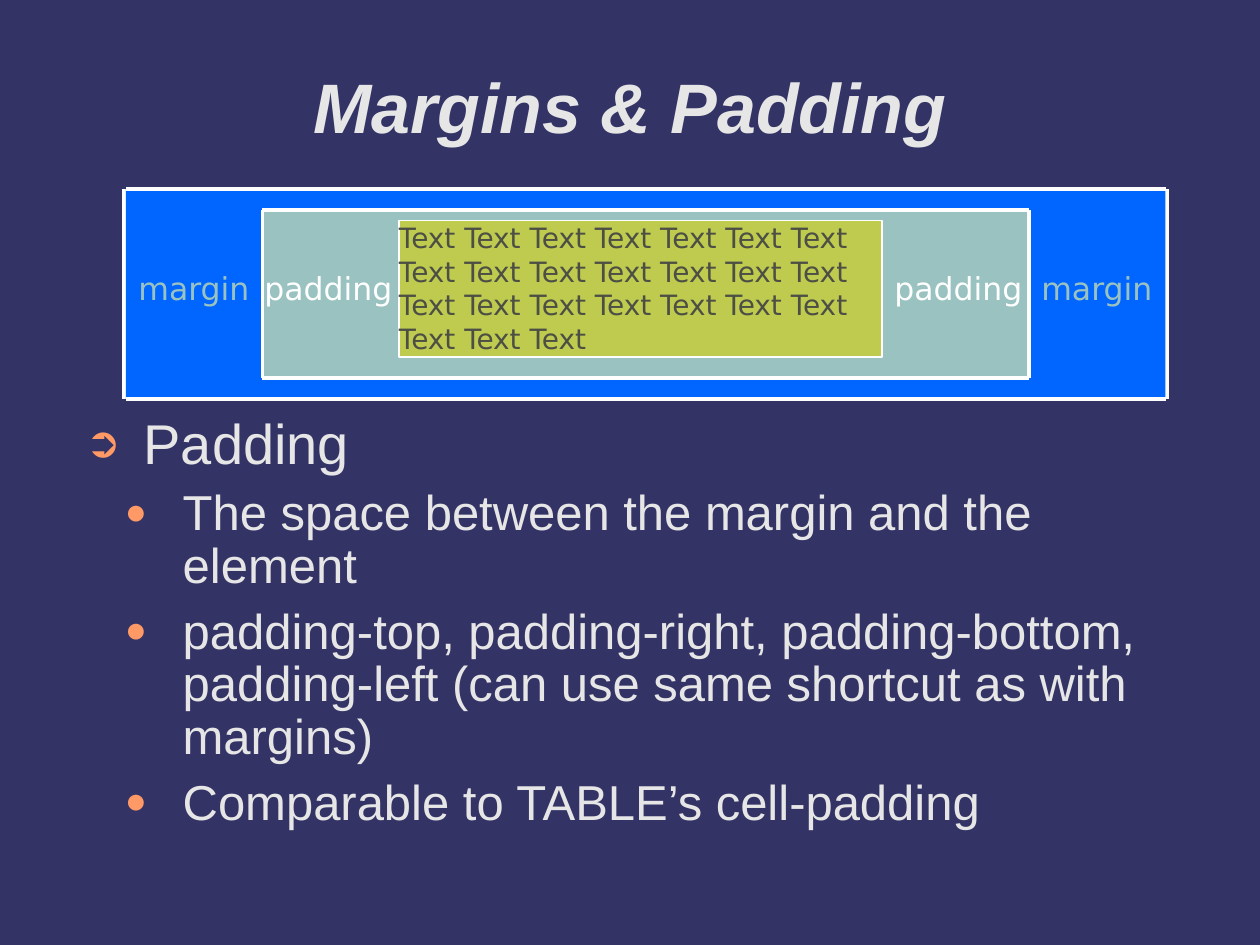
from lxml import etree
from pptx import Presentation
from pptx.dml.color import RGBColor
from pptx.enum.shapes import MSO_CONNECTOR, MSO_SHAPE
from pptx.enum.text import MSO_ANCHOR, MSO_AUTO_SIZE, PP_ALIGN
from pptx.oxml.ns import qn
from pptx.util import Inches, Pt

RECTANGLE = MSO_SHAPE.RECTANGLE
STRAIGHT = MSO_CONNECTOR.STRAIGHT
TOP, MIDDLE = MSO_ANCHOR.TOP, MSO_ANCHOR.MIDDLE
LEFT, CENTER = PP_ALIGN.LEFT, PP_ALIGN.CENTER
NO_FIT, GROW = MSO_AUTO_SIZE.NONE, MSO_AUTO_SIZE.SHAPE_TO_FIT_TEXT

COLORS = {
    "background": "333366", "text": "E6E6E6", "bullet": "FF9966",
    "margin": "0066FF", "padding": "9AC2C0", "element": "BFCB4F",
    "element text": "4D4F45", "white": "FFFFFF",
}
UNIT = Inches(1) // 12
OUTER_LEFT, INNER_LEFT, INNER_RIGHT, OUTER_RIGHT = 12, 25, 98, 111
OUTER_TOP, INNER_TOP, INNER_BOTTOM, OUTER_BOTTOM = 18, 20, 36, 38

deck = Presentation()
deck.slide_width, deck.slide_height = Inches(10), Inches(7.5)
page = deck.slides.add_slide(deck.slide_layouts[1])
page.background.fill.solid()
page.background.fill.fore_color.rgb = RGBColor.from_string(COLORS["background"])


def write(para, text, color, **font_values):
    span = para.add_run()
    span.text = text
    span.font.color.rgb = RGBColor.from_string(COLORS[color])
    for name, value in font_values.items():
        setattr(span.font, name, value)


title, body = page.shapes.title, page.placeholders[1]
for holder, top, height, anchor in ((title, 0.45, 0.77, MIDDLE), (body, 3.25, 3.45, TOP)):
    holder.left, holder.top = Inches(0.5), Inches(top)
    holder.width, holder.height = Inches(9), Inches(height)
    holder.text_frame.vertical_anchor = anchor
    holder.text_frame.auto_size = NO_FIT

heading = title.text_frame.paragraphs[0]
heading.alignment = CENTER
write(heading, "Margins & Padding", "text", name="Arial", size=Pt(40), bold=True, italic=True)

levels = (
    {"size": 32, "before": 8, "indent": 0.54, "bullet": "➲"},
    {"size": 28, "before": 7, "indent": 0.85, "bullet": "●"},
)
points = (
    (0, "Padding"),
    (1, "The space between the margin and the element"),
    (1, "padding-top, padding-right, padding-bottom, padding-left "
        "(can use same shortcut as with margins)"),
    (1, "Comparable to TABLE’s cell-padding"),
)
for index, (level, text) in enumerate(points):
    style = levels[level]
    para = body.text_frame.add_paragraph() if index else body.text_frame.paragraphs[0]
    para.level = level
    para.line_spacing = 0.9
    para.space_before = Pt(style["before"])
    write(para, text, "text", name="Arial", size=Pt(style["size"]))
    properties = para._p.get_or_add_pPr()
    properties.set("marL", str(Inches(style["indent"])))
    properties.set("indent", str(Inches(-0.46)))
    bullet_color = etree.SubElement(properties, qn("a:buClr"))
    etree.SubElement(bullet_color, qn("a:srgbClr"), val=COLORS["bullet"])
    etree.SubElement(properties, qn("a:buSzPct"), val="75000")
    etree.SubElement(properties, qn("a:buChar"), char=style["bullet"])

outer_width, side_width = OUTER_RIGHT - OUTER_LEFT, INNER_LEFT - OUTER_LEFT
outer_height = OUTER_BOTTOM - OUTER_TOP
outer_sides = [(x, OUTER_TOP, x, OUTER_BOTTOM, 4.5) for x in (OUTER_LEFT, OUTER_RIGHT)]
edges = [(x, INNER_TOP, x, INNER_BOTTOM, 2.25) for x in (INNER_LEFT, INNER_RIGHT)]
edges += [(INNER_LEFT, y, INNER_RIGHT, y, 2.25) for y in (INNER_TOP, INNER_BOTTOM)]
edges += [(OUTER_LEFT, y, OUTER_RIGHT, y, 2.25) for y in (OUTER_TOP, OUTER_BOTTOM)]

layers = [
    ("area", (OUTER_LEFT, OUTER_TOP, outer_width, outer_height), "margin"),
    ("edge", outer_sides[0], "white"),
    ("area", (OUTER_LEFT, OUTER_TOP, side_width, outer_height), "margin"),
    ("edge", outer_sides[1], "white"),
    ("area", (INNER_RIGHT, OUTER_TOP, side_width, outer_height), "margin"),
    ("area", (INNER_LEFT, INNER_TOP, INNER_RIGHT - INNER_LEFT, INNER_BOTTOM - INNER_TOP), "padding"),
    ("area", (38, 21, 46, 13), "element"),
]
layers += [("edge", edge, "white") for edge in edges]

for kind, place, color in layers:
    if kind == "area":
        box = page.shapes.add_shape(RECTANGLE, *(UNIT * value for value in place))
        box.shadow.inherit = False
        box.fill.solid()
        box.fill.fore_color.rgb = RGBColor.from_string(COLORS[color])
        box.line.fill.background()
        if color == "element":
            element = box
    else:
        line = page.shapes.add_connector(STRAIGHT, *(UNIT * value for value in place[:4]))
        line.line.color.rgb = RGBColor.from_string(COLORS[color])
        line.line.width = Pt(place[4])
        etree.SubElement(line._element.spPr, qn("a:effectLst"))

element.line.color.rgb = RGBColor.from_string(COLORS["white"])
element.line.width = Pt(1)
frame = element.text_frame
for side in ("left", "top", "right", "bottom"):
    setattr(frame, f"margin_{side}", 0)
frame.word_wrap = True
frame.vertical_anchor = TOP
para = frame.paragraphs[0]
para.alignment = LEFT
para.space_before = Pt(10)
write(para, " ".join(["Text"] * 24), "element text", name="DejaVu Sans", size=Pt(16))

labels = (
    ("margin", OUTER_LEFT, 13, "padding"),
    ("margin", INNER_RIGHT, 13, "padding"),
    ("padding", 24, 15, "white"),
    ("padding", 84, 15, "white"),
)
for text, left, width, color in labels:
    label = page.shapes.add_textbox(UNIT * left, UNIT * 25, UNIT * width, Inches(0.4))
    label.text_frame.word_wrap = True
    label.text_frame.auto_size = GROW
    para = label.text_frame.paragraphs[0]
    para.space_before = Pt(11.2)
    write(para, text, color, name="DejaVu Sans", size=Pt(18))

deck.save("out.pptx")
